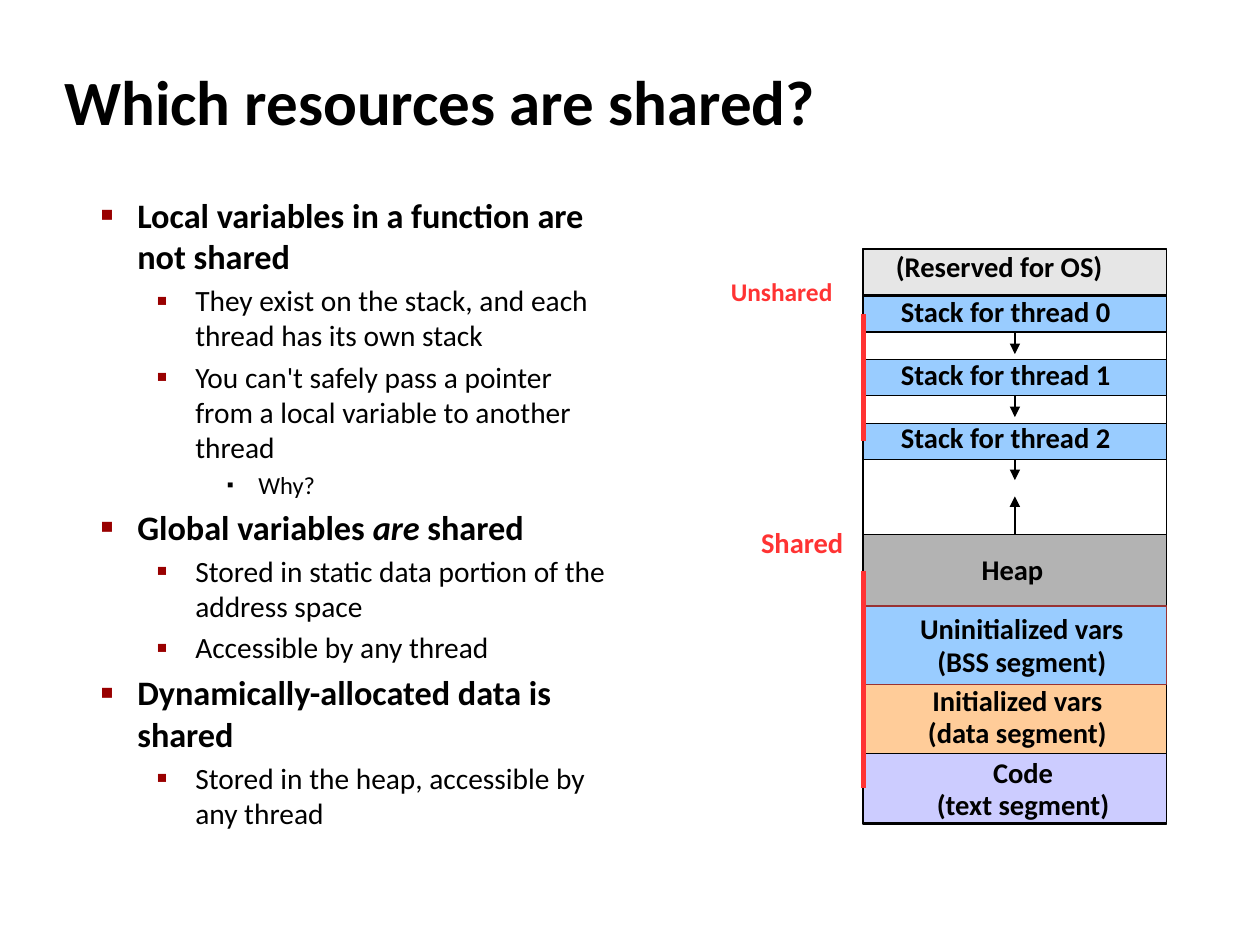
from dataclasses import dataclass

from lxml.etree import SubElement
from pptx import Presentation
from pptx.dml.color import RGBColor
from pptx.enum.shapes import MSO_CONNECTOR, MSO_SHAPE
from pptx.enum.text import MSO_ANCHOR, MSO_AUTO_SIZE, PP_ALIGN
from pptx.oxml.ns import qn
from pptx.util import Inches, Pt


@dataclass(frozen=True)
class Theme:
    font: str = "Calibri"
    ink: str = "000000"
    mark: str = "990000"
    red: str = "FF3333"
    rust: str = "993333"
    pale: str = "E6E6E6"
    gray: str = "B3B3B3"
    blue: str = "99CCFF"
    peach: str = "FFCC99"
    lilac: str = "CCCCFF"
    head: float = 36
    label: float = 16.3
    small: float = 14.5
    thin: float = 0.75
    thick: float = 2.89
    # Per list level: type size, left margin, hanging indent
    levels: tuple = ((19.6, 0.29, -0.38), (16.8, 0.75, -0.31), (14, 1.25, -0.25))
    # Per list level: bullet sign, its colour, its size in percent
    bullets: tuple = (("■", "990000", 60), ("▪", "990000", 110), ("▪", "000000", 80))


def rgb(code):
    return RGBColor.from_string(code)


def write(par, text, *, font, size, color, bold=False, italic=False):
    """Add one formatted run to a paragraph."""
    run = par.add_run()
    run.text = text
    face = run.font
    face.name, face.size = font, Pt(size)
    face.bold, face.italic = bold, italic
    face.color.rgb = rgb(color)


def indent(par, left, hang):
    props = par._p.get_or_add_pPr()
    props.set("marL", str(Inches(left)))
    props.set("indent", str(Inches(hang)))
    return props


class Deck:
    def __init__(self, theme):
        self.theme = theme
        self.file = Presentation()
        self.file.slide_width, self.file.slide_height = Inches(10), Inches(7.5)
        self.slide = self.file.slides.add_slide(self.file.slide_layouts[1])

    def place(self, holder, left, top, width, height):
        holder.left, holder.top = Inches(left), Inches(top)
        holder.width, holder.height = Inches(width), Inches(height)
        holder.text_frame.auto_size = MSO_AUTO_SIZE.NONE
        return holder.text_frame

    def title(self, text, *area):
        frame = self.place(self.slide.shapes.title, *area)
        frame.vertical_anchor = MSO_ANCHOR.MIDDLE
        par = frame.paragraphs[0]
        par.alignment, par.line_spacing = PP_ALIGN.LEFT, 0.95
        indent(par, 0.13, -0.13)
        write(par, text, font=self.theme.font, size=self.theme.head,
              color=self.theme.ink, bold=True)

    def list(self, items, *area):
        """Fill the body; every second part of an item is italic."""
        frame = self.place(self.slide.placeholders[1], *area)
        for i, (level, *parts) in enumerate(items):
            par = frame.add_paragraph() if i else frame.paragraphs[0]
            par.level = level
            size, left, hang = self.theme.levels[level]
            self.bullet(indent(par, left, hang), *self.theme.bullets[level])
            for j, part in enumerate(parts):
                write(par, part, font=self.theme.font, size=size,
                      color=self.theme.ink, bold=level == 0, italic=j % 2 == 1)

    def bullet(self, props, sign, color, scale):
        SubElement(SubElement(props, qn("a:buClr")), qn("a:srgbClr")).set("val", color)
        SubElement(props, qn("a:buSzPct")).set("val", str(scale * 1000))
        SubElement(props, qn("a:buChar")).set("char", sign)

    def box(self, left, top, width, height, fill=None, line=None):
        shape = self.slide.shapes.add_shape(
            MSO_SHAPE.ROUNDED_RECTANGLE, Inches(left), Inches(top),
            Inches(width), Inches(height))
        shape.adjustments[0] = 0
        shape.shadow.inherit = False
        if fill:
            shape.fill.solid()
            shape.fill.fore_color.rgb = rgb(fill)
        else:
            shape.fill.background()
        shape.line.color.rgb = rgb(line or self.theme.ink)
        shape.line.width = Pt(self.theme.thin)
        return shape

    def label(self, text, left, top, width, height, color=None, size=None,
              align=PP_ALIGN.LEFT):
        frame = self.slide.shapes.add_textbox(
            Inches(left), Inches(top), Inches(width), Inches(height)).text_frame
        frame.word_wrap = True
        frame.margin_left = frame.margin_right = 0
        frame.margin_top = frame.margin_bottom = 0
        for i, line in enumerate(text.split("\n")):
            par = frame.add_paragraph() if i else frame.paragraphs[0]
            par.alignment, par.line_spacing = align, 0.95
            write(par, line, font=self.theme.font, size=size or self.theme.label,
                  color=color or self.theme.ink, bold=True)

    def link(self, color, width):
        line = self.slide.shapes.add_connector(MSO_CONNECTOR.STRAIGHT, 0, 0, 0, 0)
        line.line.color.rgb = rgb(color)
        line.line.width = Pt(width)
        SubElement(line._element.spPr, qn("a:effectLst"))
        return line

    def arrow(self, start, side, stop):
        """Point straight up or down from a box to the height stop."""
        line = self.link(self.theme.ink, self.theme.thin)
        line.begin_connect(start, side)
        line.end_x, line.end_y = line.begin_x, Inches(stop)
        SubElement(line.line._get_or_add_ln(), qn("a:tailEnd")).set("type", "triangle")

    def span(self, first, last):
        """Mark the left side from one box to another."""
        line = self.link(self.theme.red, self.theme.thick)
        line.begin_connect(first, 1)
        line.end_connect(last, 1)


POINTS = (
    (0, "Local variables in a function are not shared"),
    (1, "They exist on the stack, and each thread has its own stack"),
    (1, "You can't safely pass a pointer from a local variable to another thread"),
    (2, "Why?"),
    (0, "Global variables ", "are", " shared"),
    (1, "Stored in static data portion of the address space"),
    (1, "Accessible by any thread"),
    (0, "Dynamically-allocated data is shared"),
    (1, "Stored in the heap, accessible by any thread"),
)


def main():
    theme = Theme()
    deck = Deck(theme)
    deck.title("Which resources are shared?", 0.41, 0.41, 8.3, 0.83)
    deck.list(POINTS, 0.7, 1.49, 4.23, 5.44)

    # Memory map: reserved part and outer frame
    left, width = 6.85, 2.41
    deck.box(left, 1.97, width, 0.37, theme.pale)
    deck.box(left, 1.98, width, 4.56)
    deck.label("(Reserved for OS)", 7.11, 2, 1.98, 0.26)

    # Thread stacks, each growing down
    stacks = []
    for i in range(3):
        top = 2.35 + 0.505 * i
        stack = deck.box(left, top, width, 0.285, theme.blue)
        deck.arrow(stack, 2, 2.81 + 0.5 * i)
        deck.label(f"Stack for thread {i}", 7.15, 2.35 + 0.5 * i, 1.92, 0.26)
        stacks.append(stack)

    # Heap, growing up
    heap = deck.box(left, 4.24, width, 0.58, theme.gray)
    deck.arrow(heap, 0, 3.94)
    deck.label("Heap", 7.79, 4.4, 0.58, 0.26)

    # Fixed segments: text, top, height, fill, line, then label place
    parts = (
        ("Code\n(text segment)", 5.98, 0.55, theme.lilac, theme.ink, 7.33, 6.01, 1.58),
        ("Initialized vars\n(data segment)", 5.42, 0.56, theme.peach, theme.ink,
         7.26, 5.44, 1.63),
        ("Uninitialized vars\n(BSS segment)", 4.81, 0.62, theme.blue, theme.rust,
         7.15, 4.87, 1.92),
    )
    blocks = []
    for text, top, height, fill, line, x, y, wide in parts:
        blocks.append(deck.box(left, top, width, height, fill, line))
        deck.label(text, x, y, wide, 0.53, align=PP_ALIGN.CENTER)

    # Shared and unshared ranges
    deck.span(heap, blocks[0])
    deck.span(stacks[0], stacks[-1])
    deck.label("Shared", 6.04, 4.19, 0.74, 0.26, theme.red)
    deck.label("Unshared", 5.8, 2.21, 0.96, 0.23, theme.red, theme.small)

    deck.file.save("out.pptx")


if __name__ == "__main__":
    main()
